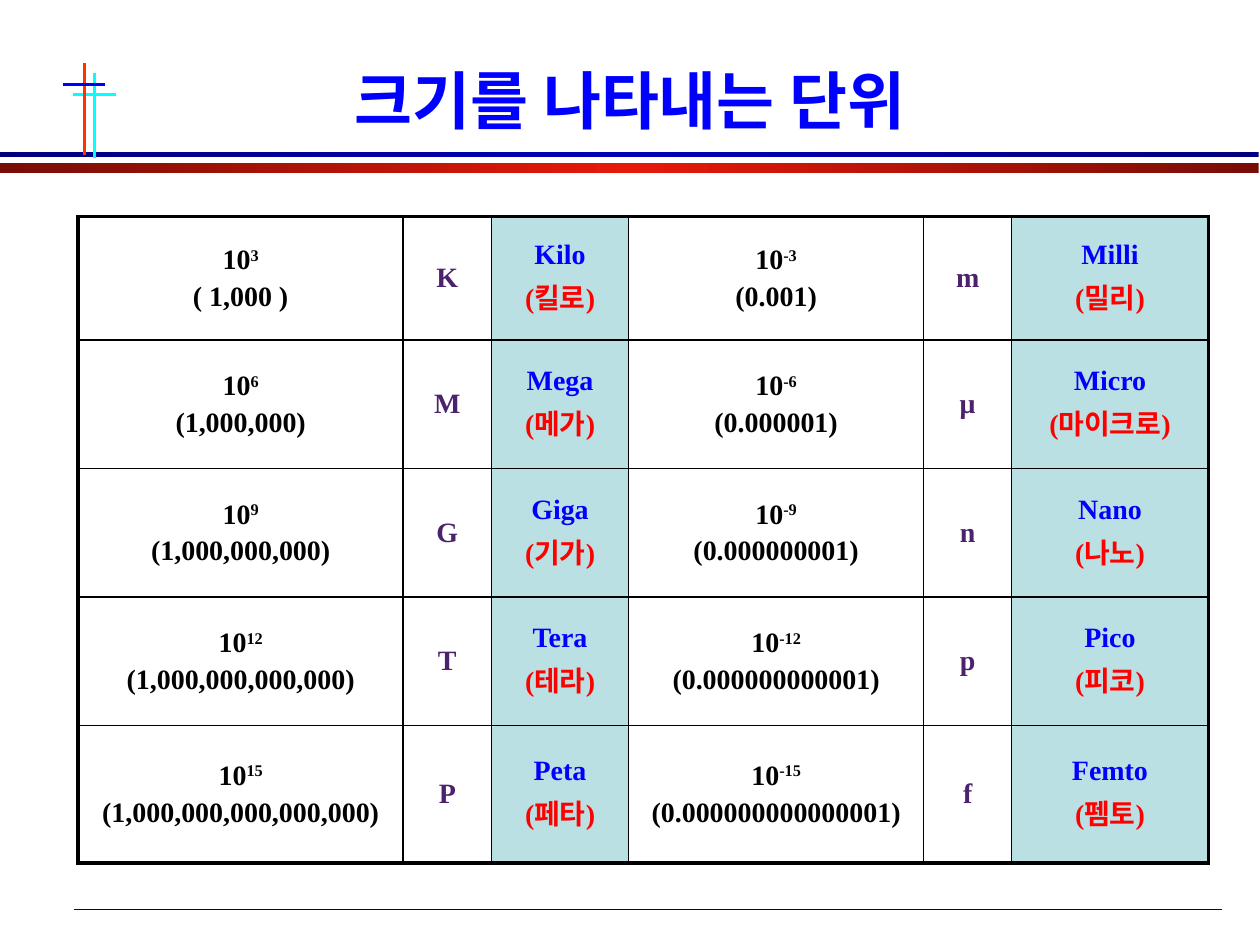
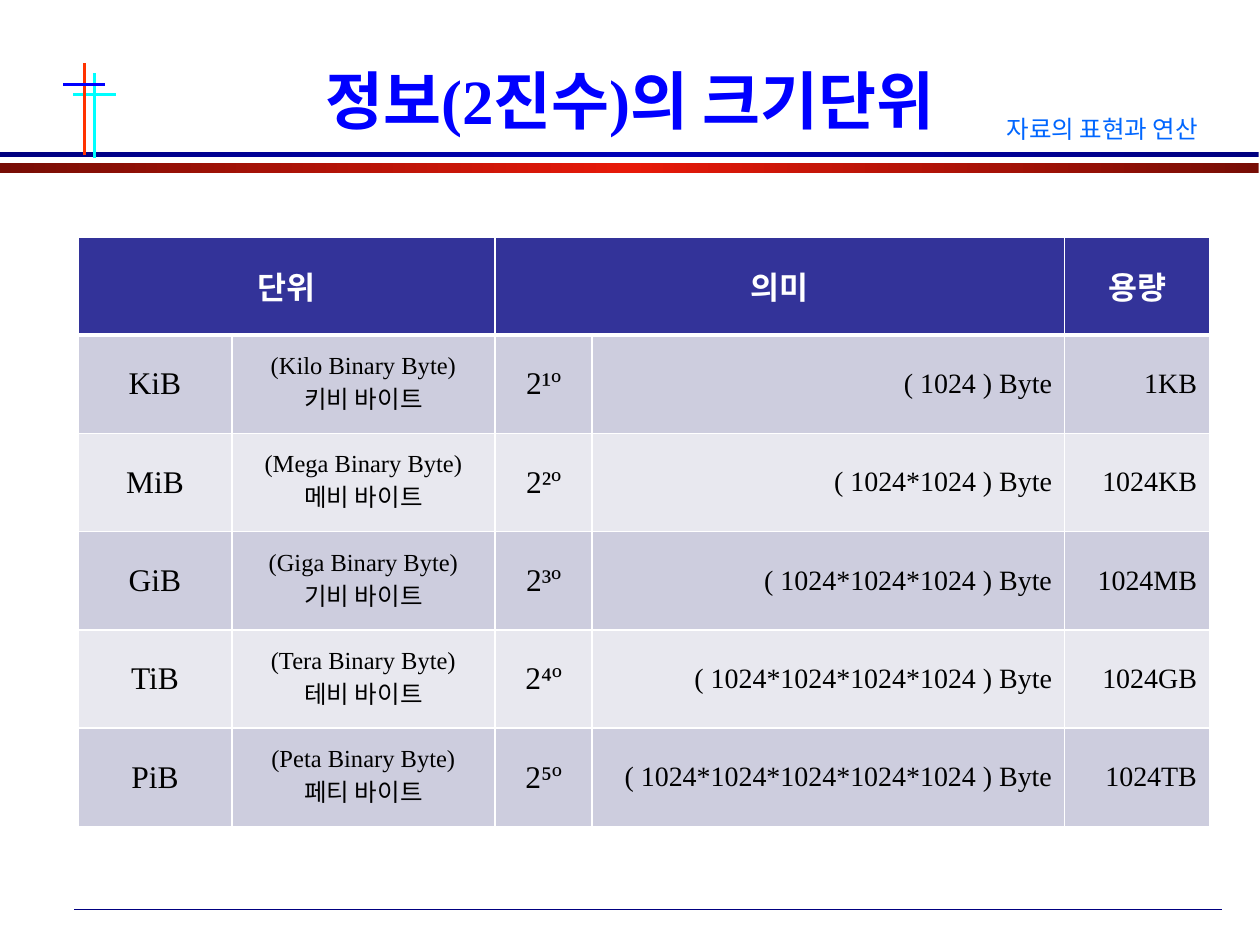
from copy import deepcopy
from pptx import Presentation
from pptx.dml.color import RGBColor
from pptx.enum.shapes import MSO_CONNECTOR, MSO_SHAPE
from pptx.enum.text import MSO_ANCHOR, MSO_AUTO_SIZE, PP_ALIGN
from pptx.oxml.ns import qn
from pptx.oxml.xmlchemy import OxmlElement
from pptx.util import Inches, Pt

BLACK = RGBColor(0x00, 0x00, 0x00)
WHITE = RGBColor(0xFF, 0xFF, 0xFF)
BLUE = RGBColor(0x00, 0x00, 0xFF)
CYAN = RGBColor(0x00, 0xFF, 0xFF)
RED = RGBColor(0xFF, 0x00, 0x00)
ORANGE = RGBColor(0xFF, 0x33, 0x00)
NAVY = RGBColor(0x00, 0x00, 0x80)
DARK = RGBColor(0x00, 0x00, 0x7F)
MID = RGBColor(0x00, 0x00, 0xB6)
MAROON = RGBColor(0x77, 0x0D, 0x05)
FLAME = RGBColor(0xE7, 0x19, 0x09)
PURPLE = RGBColor(0x4C, 0x21, 0x6D)
AQUA = RGBColor(0xBB, 0xE0, 0xE3)
SKY = RGBColor(0x00, 0x66, 0xFF)
INDIGO = RGBColor(0x33, 0x33, 0x99)
LILAC = RGBColor(0xCD, 0xCD, 0xDE)
PALE = RGBColor(0xE8, 0xE8, 0xEF)

SERIF = "Times New Roman"
SANS = "Noto Sans CJK KR"

BANDS = [(1.21, 0.04, DARK, MID), (1.29, 0.08, MAROON, FLAME)]
LINES = [
    (0.59, 7.22, 9.7, 7.22, NAVY, 0.75),
    (0.58, 0.75, 0.92, 0.75, CYAN, 2),
    (0.75, 0.58, 0.75, 1.25, CYAN, 1.75),
    (0.67, 0.5, 0.67, 1.23, ORANGE, 1.75),
    (0.5, 0.67, 0.83, 0.67, BLUE, 2),
]

SCALES = [
    ("3", "( 1,000 )", "K", "Kilo", "(킬로)", "(0.001)", "m", "Milli", "(밀리)"),
    ("6", "(1,000,000)", "M", "Mega", "(메가)", "(0.000001)", "μ", "Micro", "(마이크로)"),
    ("9", "(1,000,000,000)", "G", "Giga", "(기가)", "(0.000000001)", "n", "Nano", "(나노)"),
    ("12", "(1,000,000,000,000)", "T", "Tera", "(테라)", "(0.000000000001)", "p", "Pico", "(피코)"),
    ("15", "(1,000,000,000,000,000)", "P", "Peta", "(페타)", "(0.000000000000001)", "f", "Femto", "(펨토)"),
]
BYTES = [
    ("Kilo", "키비", "¹", "1KB"),
    ("Mega", "메비", "²", "1024KB"),
    ("Giga", "기비", "³", "1024MB"),
    ("Tera", "테비", "⁴", "1024GB"),
    ("Peta", "페티", "⁵", "1024TB"),
]


def style(para, size, color, bold=False, align=PP_ALIGN.CENTER, face=SERIF):
    """Set the font and alignment of one paragraph."""
    para.alignment = align
    font = para.font
    font.size, font.bold, font.name = Pt(size), bold, face
    font.color.rgb = color
    east = OxmlElement("a:ea")
    east.set("typeface", SANS)
    font._element.find(qn("a:latin")).addnext(east)


def write(frame, lines, size, colors, bold=False, align=PP_ALIGN.CENTER, gap=0):
    """Write one paragraph per line; a pair is a base and its raised power."""
    for pos, (line, color) in enumerate(zip(lines, colors)):
        para = frame.paragraphs[0] if pos == 0 else frame.add_paragraph()
        base, power = line if isinstance(line, tuple) else (line, None)
        para.add_run().text = base
        if power:
            run = para.add_run()
            run.text = power
            run._r.get_or_add_rPr().set("baseline", "30000")
        style(para, size, color, bold, align)
        if pos:
            para.space_before = Pt(gap)


def stroke(slide, left, top, right, bottom, color, width):
    """Draw one straight line."""
    line = slide.shapes.add_connector(
        MSO_CONNECTOR.STRAIGHT, Inches(left), Inches(top), Inches(right), Inches(bottom))
    line.line.color.rgb = color
    line.line.width = Pt(width)
    line._element.spPr.append(OxmlElement("a:effectLst"))


def band(slide, top, height, edge, core):
    """Draw a full-width band that is brighter in its middle."""
    bar = slide.shapes.add_shape(
        MSO_SHAPE.RECTANGLE, 0, Inches(top), Inches(9.99), Inches(height))
    bar.shadow.inherit = False
    bar.line.fill.background()
    bar.fill.gradient()
    bar.fill.gradient_angle = 0
    stops = bar._element.spPr.find(".//" + qn("a:gsLst"))
    stops.insert(1, deepcopy(stops[0]))
    for stop, color, place in zip(bar.fill.gradient_stops, (edge, core, edge), (0, 0.5, 1)):
        stop.color.rgb = color
        stop.position = place


def start(deck, text):
    """Add a slide with the shared lines, bands and title."""
    slide = deck.slides.add_slide(deck.slide_layouts[5])
    for item in BANDS:
        band(slide, *item)
    for item in LINES:
        stroke(slide, *item)
    title = slide.shapes.title
    title.left, title.top = Inches(1.54), Inches(0.5)
    title.width, title.height = Inches(6.92), Inches(0.58)
    frame = title.text_frame
    frame.auto_size = MSO_AUTO_SIZE.NONE
    frame.vertical_anchor = MSO_ANCHOR.MIDDLE
    write(frame, [text], 36, [BLUE], True)
    return slide


def grid(slide, left, top, cols, rows):
    """Add a plain table with the given column widths and row heights."""
    table = slide.shapes.add_table(
        len(rows), len(cols), Inches(left), Inches(top),
        Inches(sum(cols)), Inches(sum(rows))).table
    table.first_row = table.horz_banding = False
    for col, width in zip(table.columns, cols):
        col.width = Inches(width)
    for row, height in zip(table.rows, rows):
        row.height = Inches(height)
    return table


def dress(cell, color, widths, fill=None):
    """Set a cell's left, right, top and bottom borders, and its fill."""
    props = cell._tc.get_or_add_tcPr()
    for side, width in zip("LRTB", widths):
        edge = OxmlElement(f"a:ln{side}")
        edge.set("w", str(Pt(width)))
        solid = OxmlElement("a:solidFill")
        tint = OxmlElement("a:srgbClr")
        tint.set("val", str(color))
        solid.append(tint)
        edge.append(solid)
        props.append(edge)
    if fill is None:
        cell.fill.background()
    else:
        cell.fill.solid()
        cell.fill.fore_color.rgb = fill
    cell.vertical_anchor = MSO_ANCHOR.MIDDLE


def scales(deck):
    """Build the slide of decimal prefixes."""
    slide = start(deck, "크기를 나타내는 단위")
    cols, rows = [2.58, 0.7, 1.09, 2.34, 0.7, 1.56], [0.98, 1.02, 1.02, 1.02, 1.09]
    table = grid(slide, 0.62, 1.72, cols, rows)
    looks = [(BLACK, BLACK), (PURPLE,), (BLUE, RED)] * 2
    for r, (power, large, up, big, loud, small, low, tiny, soft) in enumerate(SCALES):
        texts = [[("10", power), large], [up], [big, loud],
                 [("10", "-" + power), small], [low], [tiny, soft]]
        for c, (lines, colors) in enumerate(zip(texts, looks)):
            cell = table.cell(r, c)
            outer = (c == 0, c == len(cols) - 1, r == 0, r == len(rows) - 1)
            dress(cell, BLACK, [2.25 if edge else 1 for edge in outer],
                  AQUA if c % 3 == 2 else None)
            write(cell.text_frame, lines, 16, colors, True, gap=3.2)


def label(slide, left, top, text):
    """Add the small topic label beside the title."""
    box = slide.shapes.add_textbox(Inches(left), Inches(top), Inches(2.03), Inches(0.34))
    frame = box.text_frame
    frame.word_wrap = True
    frame.auto_size = MSO_AUTO_SIZE.SHAPE_TO_FIT_TEXT
    frame.text = text
    style(frame.paragraphs[0], 14, SKY, align=PP_ALIGN.LEFT, face=SANS)


def binary(deck):
    """Build the slide of binary byte units."""
    slide = start(deck, "정보(2진수)의 크기단위")
    label(slide, 7.89, 0.86, "자료의 표현과 연산")
    table = grid(slide, 0.62, 1.88, [1.22, 2.09, 0.77, 3.75, 1.15], [0.78] * 6)
    for c in range(5):
        dress(table.cell(0, c), WHITE, (1, 1, 1, 3), INDIGO)
    for c, text in ((0, "단위"), (2, "의미"), (4, "용량")):
        cell = table.cell(0, c)
        if c < 4:
            cell.merge(table.cell(0, c + 1))
        write(cell.text_frame, [text], 18, [WHITE], True)
    mid, right = PP_ALIGN.CENTER, PP_ALIGN.RIGHT
    looks = [(18, mid), (14, mid), (18, mid), (16, right), (16, right)]
    for r, (name, sound, power, size) in enumerate(BYTES, 1):
        chain = "*".join(["1024"] * r)
        texts = [[name[0] + "iB"], [f"({name} Binary Byte)", f"{sound} 바이트"],
                 [f"2{power}º"], [f"( {chain} ) Byte"], [size]]
        for c, (lines, (points, align)) in enumerate(zip(texts, looks)):
            cell = table.cell(r, c)
            dress(cell, WHITE, (1, 1, 3 if r == 1 else 1, 1), LILAC if r % 2 else PALE)
            write(cell.text_frame, lines, points, [BLACK] * 2, align=align)


def main():
    """Build and save the deck."""
    deck = Presentation()
    deck.slide_width, deck.slide_height = Inches(10), Inches(7.5)
    scales(deck)
    binary(deck)
    deck.save("out.pptx")


if __name__ == "__main__":
    main()
